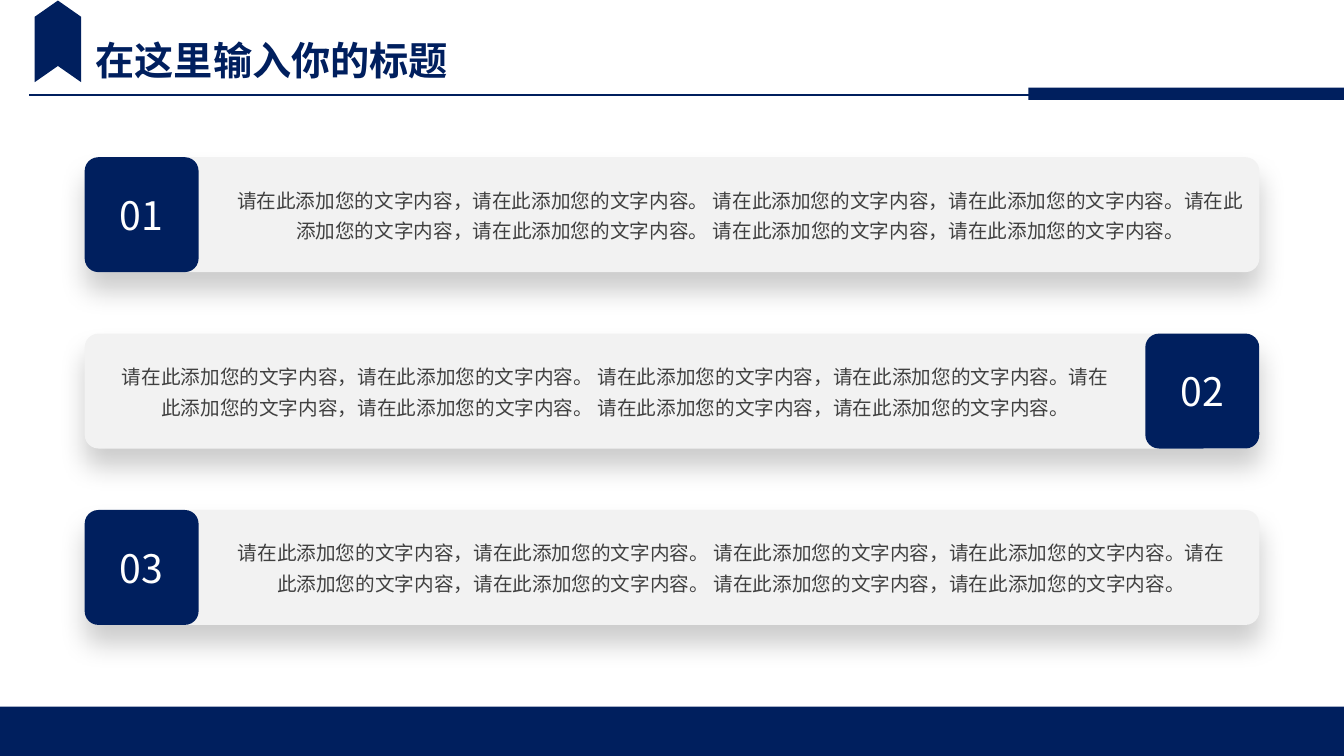
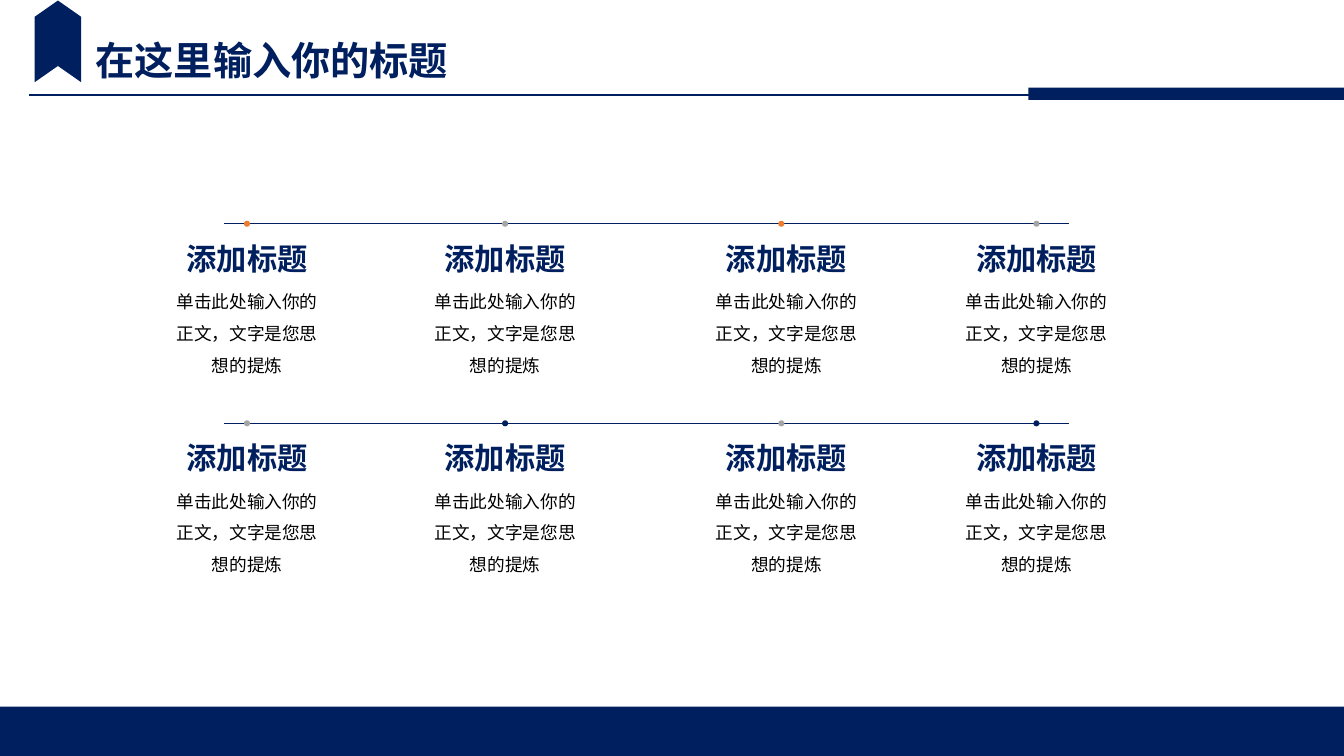
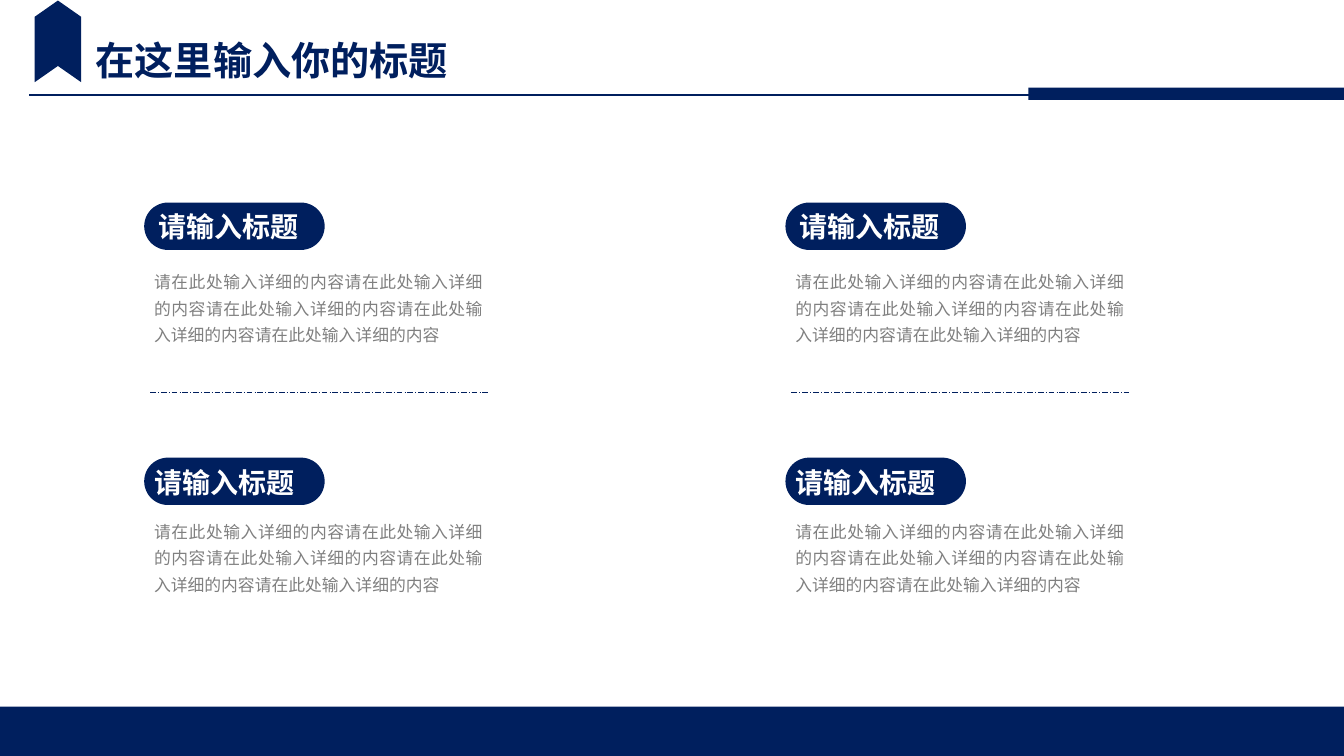
"""Build three navy content slides that share one header and footer."""
import lxml.etree
import pptx
import pptx.dml.color
import pptx.enum.dml
import pptx.enum.shapes
import pptx.enum.text
import pptx.oxml.ns
import pptx.util

Inches = pptx.util.Inches
Pt = pptx.util.Pt
RGBColor = pptx.dml.color.RGBColor
SHAPE = pptx.enum.shapes.MSO_SHAPE
ALIGN = pptx.enum.text.PP_ALIGN
ANCHOR = pptx.enum.text.MSO_ANCHOR
AUTO_SIZE = pptx.enum.text.MSO_AUTO_SIZE
DASH = pptx.enum.dml.MSO_LINE
qn = pptx.oxml.ns.qn

FONT = "Noto Sans CJK SC"
COLORS = {
    "navy": "001F5E",
    "white": "FFFFFF",
    "panel": "F2F2F2",
    "dark": "404040",
    "gray": "808080",
    "black": "000000",
    "orange": "ED7D31",
    "silver": "A5A5A5",
}


def add_block(slide, kind, box, color, adjustment=None):
    shape = slide.shapes.add_shape(kind, *map(Inches, box))
    shape.shadow.inherit = False
    shape.fill.solid()
    shape.fill.fore_color.rgb = RGBColor.from_string(COLORS[color])
    shape.line.fill.background()
    if adjustment is not None:
        shape.adjustments[0] = adjustment
    return shape


def add_text(slide, box, text, size, color, bold=False, align=ALIGN.LEFT,
             spacing=1.0, wrap=True, inset=(0.1, 0.05)):
    text_frame = slide.shapes.add_textbox(*map(Inches, box)).text_frame
    text_frame.text = text
    text_frame.word_wrap = wrap
    text_frame.auto_size = AUTO_SIZE.SHAPE_TO_FIT_TEXT
    text_frame.margin_left = text_frame.margin_right = Inches(inset[0])
    text_frame.margin_top = text_frame.margin_bottom = Inches(inset[1])
    paragraph = text_frame.paragraphs[0]
    paragraph.alignment = align
    paragraph.line_spacing = spacing
    run = paragraph.runs[0]
    run.font.size = Pt(size)
    run.font.bold = bold
    run.font.color.rgb = RGBColor.from_string(COLORS[color])
    run.font.name = FONT
    properties = run._r.get_or_add_rPr()
    lxml.etree.SubElement(properties, qn("a:ea"), typeface=FONT)


presentation = pptx.Presentation()
presentation.slide_width = Inches(13.33)
presentation.slide_height = Inches(7.5)
slides = [presentation.slides.add_slide(presentation.slide_layouts[6]) for _ in range(3)]
panel_slide, timeline_slide, topic_slide = slides

timeline_tops = (2.22, 4.2)
topic_lefts = (1.43, 7.79)
rules = [(slide, 0.29, 11.52, 0.94, 1.5, None) for slide in slides]
rules += [(timeline_slide, 2.22, 10.6, top, 0.45, None) for top in timeline_tops]
rules += [(topic_slide, left + 0.06, left + 3.41, 3.89, 0.5, DASH.LONG_DASH_DOT)
          for left in topic_lefts]
for slide, start, end, top, weight, dash in rules:
    rule = slide.shapes.add_connector(
        pptx.enum.shapes.MSO_CONNECTOR.STRAIGHT,
        Inches(start), Inches(top), Inches(end), Inches(top))
    rule.line.color.rgb = RGBColor.from_string(COLORS["navy"])
    rule.line.width = Pt(weight)
    if dash:
        rule.line.dash_style = dash
    lxml.etree.SubElement(rule._element.spPr, qn("a:effectLst"))

for slide in slides:
    add_block(slide, SHAPE.RECTANGLE, (0, 7.01, 13.33, 0.49), "navy")
    add_block(slide, SHAPE.RECTANGLE, (10.2, 0.87, 3.13, 0.12), "navy")
    ribbon = add_block(slide, SHAPE.CHEVRON, (0.17, 0.18, 0.81, 0.46), "navy", 0.35)
    ribbon.rotation = 270
    add_text(slide, (0.85, 0.31, 3.74, 0.57), "在这里输入你的标题", 28, "navy",
             bold=True, wrap=False)

sentence = "请在此添加您的文字内容，请在此添加您的文字内容。"
panel_text = f"{sentence} {sentence}{sentence} {sentence}"
panels = [("01", 0.84, 2.29, 10.11), ("02", 11.36, 1.14, 9.93), ("03", 0.84, 2.29, 9.93)]
for index, (number, badge_left, text_left, text_width) in enumerate(panels):
    top = 1.56 + 1.75 * index
    panel = add_block(panel_slide, SHAPE.ROUNDED_RECTANGLE, (0.84, top, 11.65, 1.14),
                      "panel", 0.12)
    effects = panel._element.spPr.find(qn("a:effectLst"))
    shadow = lxml.etree.SubElement(
        effects, qn("a:outerShdw"), blurRad=str(Pt(18)), dist=str(Pt(13)),
        dir="5400000", rotWithShape="0")
    shadow_color = lxml.etree.SubElement(shadow, qn("a:srgbClr"), val=COLORS["black"])
    lxml.etree.SubElement(shadow_color, qn("a:alpha"), val="20000")

    badge = add_block(panel_slide, SHAPE.ROUNDED_RECTANGLE, (badge_left, top, 1.13, 1.14),
                      "navy", 0.12)
    badge.text_frame.text = number
    badge.text_frame.vertical_anchor = ANCHOR.MIDDLE
    paragraph = badge.text_frame.paragraphs[0]
    paragraph.alignment = ALIGN.CENTER
    font = paragraph.runs[0].font
    font.size = Pt(28)
    font.name = FONT
    font.color.rgb = RGBColor.from_string(COLORS["white"])
    add_text(panel_slide, (text_left, top + 0.24, text_width, 0.89), panel_text, 14, "dark",
             align=ALIGN.CENTER, spacing=1.3, inset=(0, 0))

timeline_centers = (2.45, 5.01, 7.8, 10.28)
dot_centers = (2.45, 5.01, 7.75, 10.28)
dot_colors = (("orange", "silver"), ("silver", "navy"))
for top, colors in zip(timeline_tops, dot_colors):
    for index, (center, dot_center) in enumerate(zip(timeline_centers, dot_centers)):
        add_block(timeline_slide, SHAPE.OVAL, (dot_center - 0.03, top - 0.03, 0.06, 0.06),
                  colors[index % 2])
        add_text(timeline_slide, (center - 0.71, top + 0.12, 1.42, 0.45), "添加标题",
                 21.6, "navy", bold=True, align=ALIGN.CENTER, wrap=False, inset=(0.09, 0.04))
        add_text(timeline_slide, (center - 0.83, top + 0.52, 1.66, 1.01),
                 "单击此处输入你的正文，文字是您思想的提炼", 12.6, "black",
                 align=ALIGN.CENTER, spacing=1.5, inset=(0.09, 0.04))

topic_rows = [(2.01, 0.04, 2.03, 2.59), (4.54, 0, 4.57, 5.07)]
for left in topic_lefts:
    for pill_top, title_indent, title_top, body_top in topic_rows:
        add_block(topic_slide, SHAPE.ROUNDED_RECTANGLE, (left, pill_top, 1.79, 0.47),
                  "navy", 0.5)
        add_text(topic_slide, (left + title_indent, title_top, 3.05, 0.44), "请输入标题",
                 20, "white", bold=True)
        add_text(topic_slide, (left, body_top, 3.46, 0.87), "请在此处输入详细的内容" * 5,
                 12, "gray", align=ALIGN.JUSTIFY, spacing=1.3)

presentation.save("out.pptx")
